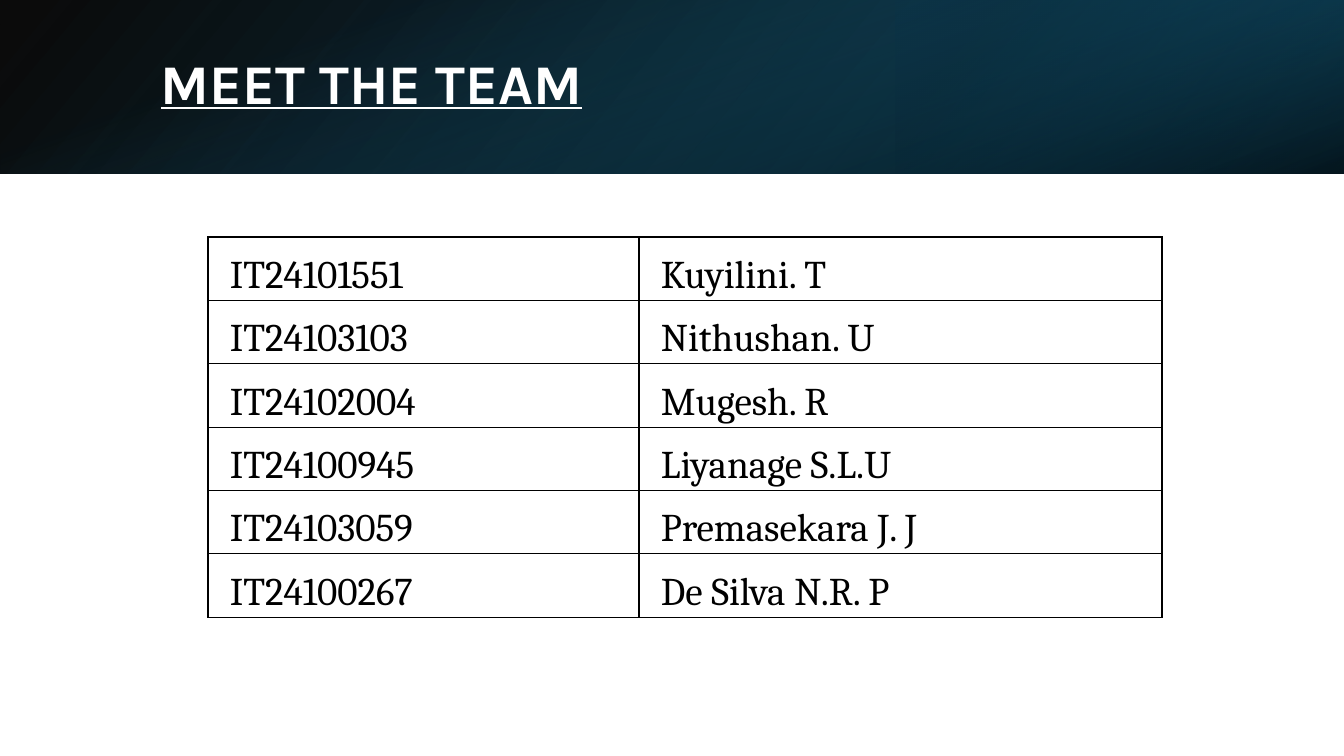
from lxml import etree
from pptx import Presentation
from pptx.dml.color import RGBColor
from pptx.enum.shapes import MSO_SHAPE as Preset
from pptx.enum.text import MSO_ANCHOR as Anchor
from pptx.oxml import parse_xml
from pptx.oxml.ns import nsdecls, qn
from pptx.util import Pt

EMU_PER_PX = 914400 / 100.8
WIDTH, HEIGHT, BANNER = 1344, 756, 174
SIDE = (WIDTH - BANNER) // 2  # offset of the banner layer before its quarter turn
COLORS = {"white": "FFFFFF", "black": "000000", "ocean": "104862",
          "navy": "0B3041", "teal": "156082"}
TEAM = [
    ("IT24101551", "Kuyilini. T"),
    ("IT24103103", "Nithushan. U"),
    ("IT24102004", "Mugesh. R"),
    ("IT24100945", "Liyanage S.L.U"),
    ("IT24103059", "Premasekara J. J"),
    ("IT24100267", "De Silva N.R. P"),
]


def px(value):
    return round(value * EMU_PER_PX)


def add_gradient_layer(slide, box, stops, angle, rotation=0, flip=False):
    """Add a rectangle whose stops are (position %, color, opacity %)."""
    shape = slide.shapes.add_shape(Preset.RECTANGLE, *map(px, box))
    shape.shadow.inherit = False
    shape.rotation = rotation
    shape.line.fill.background()
    properties = shape._element.spPr
    if flip:
        properties.find(qn("a:xfrm")).set("flipH", "1")
    stop_xml = "".join(
        f'<a:gs pos="{position * 1000}"><a:srgbClr val="{COLORS[color]}">'
        f'<a:alpha val="{opacity * 1000}"/></a:srgbClr></a:gs>'
        for position, color, opacity in stops)
    gradient = parse_xml(
        f'<a:gradFill {nsdecls("a")}><a:gsLst>{stop_xml}</a:gsLst>'
        f'<a:lin ang="{angle * 60000}" scaled="0"/></a:gradFill>')
    properties.find(qn("a:prstGeom")).addnext(gradient)


def write_text(frame, text, font, size, color, bold=False, underline=False,
               line_spacing=1.0, space_after=0):
    paragraph = frame.paragraphs[0]
    paragraph.line_spacing = line_spacing
    paragraph.space_after = Pt(space_after)
    run = paragraph.add_run()
    run.text = text
    run.font.name = font
    run.font.size = Pt(size)
    run.font.bold = bold
    run.font.underline = underline
    run.font.color.rgb = RGBColor.from_string(COLORS[color])


def add_title(slide, text, box):
    frame = slide.shapes.add_textbox(*map(px, box)).text_frame
    frame.word_wrap = True
    frame.vertical_anchor = Anchor.MIDDLE
    write_text(frame, text, "Karla", 40, "white", bold=True, underline=True,
               line_spacing=0.9)


def set_borders(cell, color, width):
    properties = cell._tc.get_or_add_tcPr()
    for index, side in enumerate(("lnL", "lnR", "lnT", "lnB")):
        line = etree.Element(qn(f"a:{side}"), w=str(Pt(width)))
        fill = etree.SubElement(line, qn("a:solidFill"))
        etree.SubElement(fill, qn("a:srgbClr"), val=COLORS[color])
        properties.insert(index, line)


def add_team_table(slide, members, left, top, column_widths, row_height):
    table = slide.shapes.add_table(
        len(members), len(column_widths), px(left), px(top),
        px(sum(column_widths)), px(row_height * len(members))).table
    table.first_row = table.horz_banding = False
    for column, width in zip(table.columns, column_widths):
        column.width = px(width)
    for row, member in zip(table.rows, members):
        row.height = px(row_height)
        for cell, text in zip(row.cells, member):
            cell.fill.background()
            cell.margin_left, cell.margin_right = px(22), px(20)
            cell.margin_top, cell.margin_bottom = px(13), 0
            set_borders(cell, "black", 1)
            write_text(cell.text_frame, text, "Cambria", 28, "black",
                       line_spacing=1.07, space_after=8)


def main():
    presentation = Presentation()
    presentation.slide_width, presentation.slide_height = px(WIDTH), px(HEIGHT)
    slide = presentation.slides.add_slide(presentation.slide_layouts[6])

    # Banner: three gradient layers
    add_gradient_layer(slide, (0, 0, WIDTH, BANNER),
                       [(0, "black", 96), (100, "ocean", 100)], 140, flip=True)
    add_gradient_layer(slide, (896, 0, 448, BANNER),
                       [(19, "navy", 68), (100, "teal", 79)], 320,
                       rotation=180, flip=True)
    add_gradient_layer(slide, (SIDE, -SIDE, BANNER, WIDTH),
                       [(23, "teal", 0), (99, "black", 74)], 340, rotation=90)

    # Title
    add_title(slide, "MEET THE TEAM", (151, 38, 1106, 97))

    # Team members
    add_team_table(slide, TEAM, 208, 237, (431, 523), 60)

    presentation.save("out.pptx")


if __name__ == "__main__":
    main()
